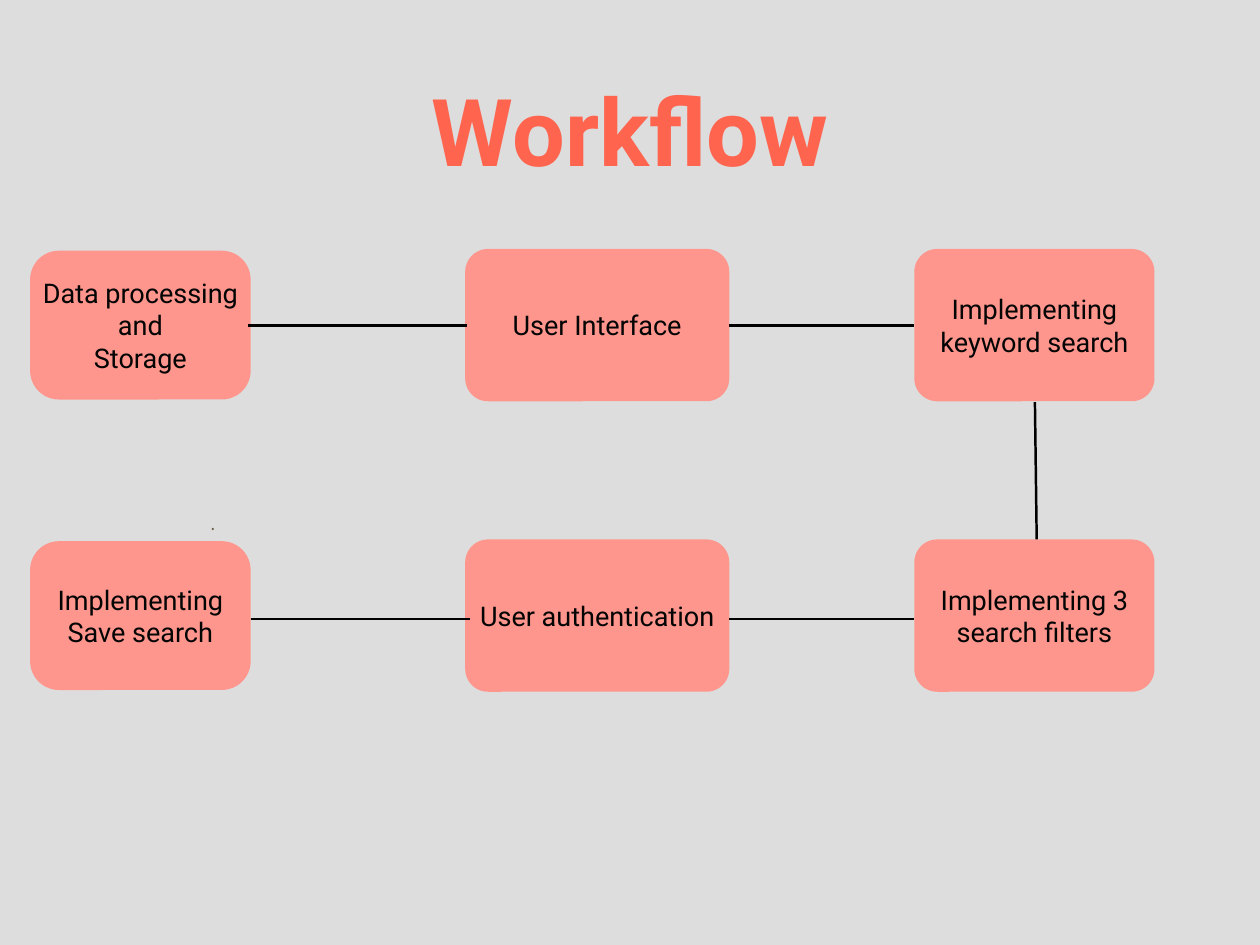
from dataclasses import dataclass

from lxml.etree import SubElement
from pptx import Presentation
from pptx.dml.color import RGBColor
from pptx.enum.shapes import MSO_CONNECTOR, MSO_SHAPE
from pptx.enum.text import MSO_ANCHOR, PP_ALIGN
from pptx.oxml.ns import qn
from pptx.slide import Slide
from pptx.text.text import TextFrame
from pptx.util import Inches, Length, Pt

WIDTH, HEIGHT = Inches(14.22), Inches(10.67)


@dataclass(frozen=True)
class TextStyle:
    size: float
    color: str
    font: str = "Roboto"
    bold: bool = False
    align: PP_ALIGN = PP_ALIGN.CENTER


@dataclass(frozen=True)
class Theme:
    background: str = "DDDDDD"
    box: str = "FF968D"
    line: str = "000000"
    line_width: float = 2
    title: TextStyle = TextStyle(76, "FF644E", bold=True)
    label: TextStyle = TextStyle(22, "030404")
    dot: TextStyle = TextStyle(16, "695D46", "Cambria", align=PP_ALIGN.LEFT)


@dataclass(frozen=True)
class Column:
    left: float
    width: float
    height: float
    rounding: float


@dataclass(frozen=True)
class Step:
    column: Column
    middle: float
    lines: tuple[str, ...]


@dataclass(frozen=True)
class Link:
    start: tuple[float, float]
    end: tuple[float, float]


@dataclass(frozen=True)
class Caption:
    text: str
    style: TextStyle
    area: tuple[float, float, float, float]
    margin: float


THEME = Theme()
LEFT = Column(2.39, 17.51, 15.75, 0.194)
CENTER = Column(36.92, 20.96, 16.12, 0.15)
RIGHT = Column(72.57, 19.06, 16.12, 0.15)
TOP_ROW, BOTTOM_ROW = 34.4, 65.14
TOP_LINE, BOTTOM_LINE = 34.45, 65.51
CENTER_END = CENTER.left + CENTER.width

STEPS = (
    Step(LEFT, TOP_ROW, ("Data processing and", "Storage")),
    Step(CENTER, TOP_ROW, ("User Interface",)),
    Step(RIGHT, TOP_ROW, ("Implementing keyword search",)),
    Step(RIGHT, BOTTOM_ROW, ("Implementing 3 search filters",)),
    Step(CENTER, BOTTOM_ROW, ("User authentication",)),
    Step(LEFT, BOTTOM_ROW, ("Implementing Save search",)),
)
LINKS = (
    Link((19.69, TOP_LINE), (37.06, TOP_LINE)),
    Link((CENTER_END, TOP_LINE), (RIGHT.left, TOP_LINE)),
    Link((82.28, 57.08), (82.14, 42.55)),
    Link((CENTER_END, BOTTOM_LINE), (RIGHT.left, BOTTOM_LINE)),
    Link((19.9, BOTTOM_LINE), (37.27, BOTTOM_LINE)),
)
CAPTIONS = (
    Caption("Workflow", THEME.title, (7.31, 2.64, 85.37, 22.12), 0.06),
    Caption(".", THEME.dot, (16.74, 54, 2, 2.6), 0),
)


def across(share: float) -> Length:
    """Turn a percentage of the slide's width into a length."""
    return Length(round(WIDTH * share / 100))


def down(share: float) -> Length:
    """Turn a percentage of the slide's height into a length."""
    return Length(round(HEIGHT * share / 100))


def write(frame: TextFrame, lines: tuple[str, ...], style: TextStyle, margin: float) -> None:
    """Fill a text frame with one styled paragraph per line."""
    frame.word_wrap = True
    frame.vertical_anchor = MSO_ANCHOR.MIDDLE
    frame.margin_left = frame.margin_right = Inches(margin)
    frame.margin_top = frame.margin_bottom = Inches(margin)
    frame.text = "\n".join(lines)
    for paragraph in frame.paragraphs:
        paragraph.alignment = style.align
        paragraph.font.name = style.font
        paragraph.font.size = Pt(style.size)
        paragraph.font.bold = style.bold
        paragraph.font.color.rgb = RGBColor.from_string(style.color)


def draw_caption(page: Slide, caption: Caption) -> None:
    """Draw free-standing text."""
    left, top, width, height = caption.area
    box = page.shapes.add_textbox(across(left), down(top), across(width), down(height))
    write(box.text_frame, (caption.text,), caption.style, caption.margin)


def draw_step(page: Slide, step: Step) -> None:
    """Draw one rounded step of the workflow."""
    column = step.column
    box = page.shapes.add_shape(
        MSO_SHAPE.ROUNDED_RECTANGLE,
        across(column.left),
        down(step.middle - column.height / 2),
        across(column.width),
        down(column.height),
    )
    box.adjustments[0] = column.rounding
    box.shadow.inherit = False
    box.fill.solid()
    box.fill.fore_color.rgb = RGBColor.from_string(THEME.box)
    box.line.fill.background()
    write(box.text_frame, step.lines, THEME.label, 0.03)


def draw_link(page: Slide, link: Link) -> None:
    """Draw a straight line between two steps."""
    (start_x, start_y), (end_x, end_y) = link.start, link.end
    line = page.shapes.add_connector(
        MSO_CONNECTOR.STRAIGHT, across(start_x), down(start_y), across(end_x), down(end_y)
    )
    line.line.color.rgb = RGBColor.from_string(THEME.line)
    line.line.width = Pt(THEME.line_width)
    SubElement(line._element.spPr, qn("a:effectLst"))


def main() -> None:
    """Build the workflow slide and save it."""
    deck = Presentation()
    deck.slide_width, deck.slide_height = WIDTH, HEIGHT
    page = deck.slides.add_slide(deck.slide_layouts[6])
    page.background.fill.solid()
    page.background.fill.fore_color.rgb = RGBColor.from_string(THEME.background)
    for caption in CAPTIONS:
        draw_caption(page, caption)
    for step in STEPS:
        draw_step(page, step)
    for link in LINKS:
        draw_link(page, link)
    deck.save("out.pptx")


if __name__ == "__main__":
    main()
